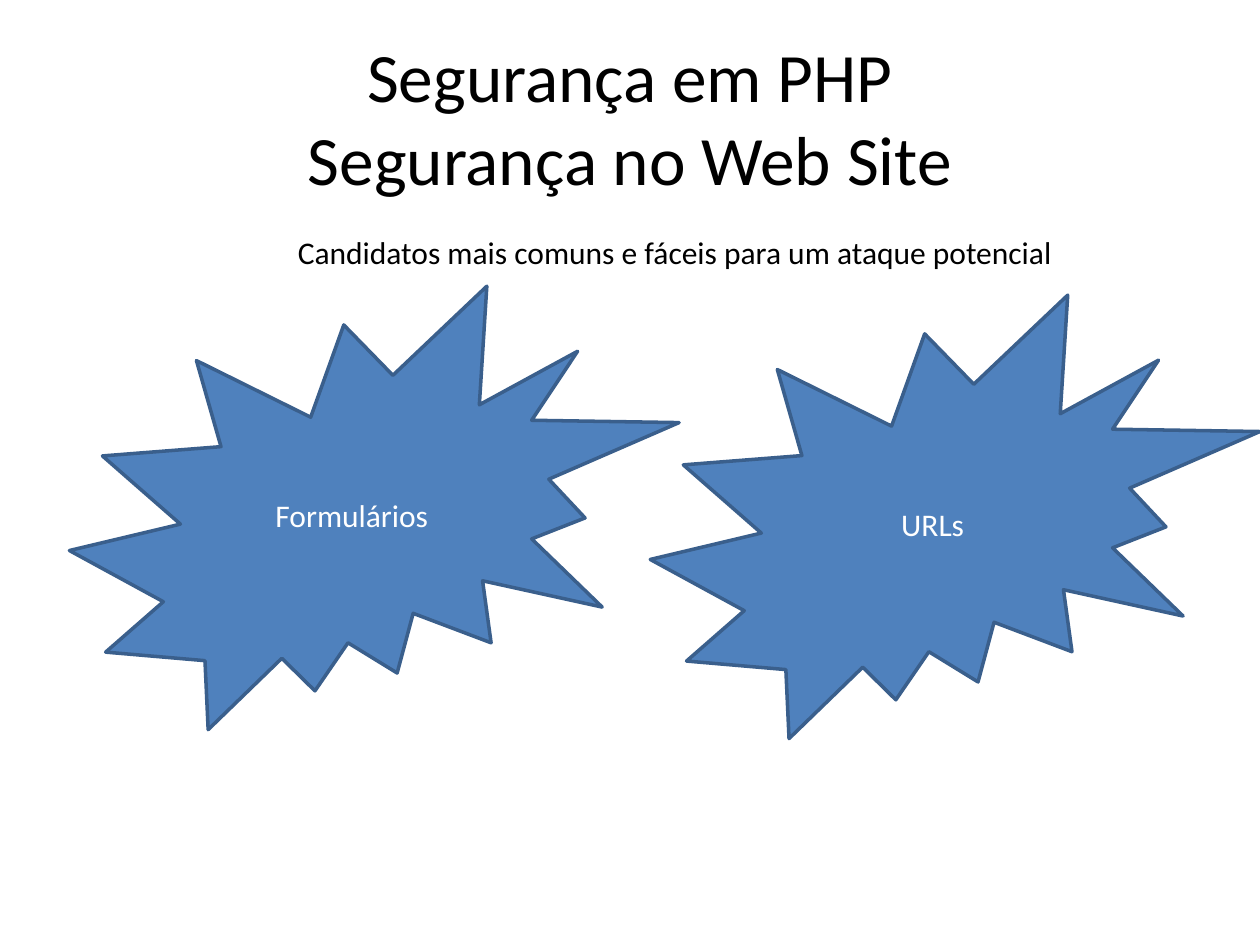
from pptx import Presentation
from pptx.dml.color import RGBColor
from pptx.enum.shapes import MSO_SHAPE as Shape
from pptx.enum.text import MSO_ANCHOR as Anchor, PP_ALIGN as Align
from pptx.util import Cm, Pt

BLACK = RGBColor(0x00, 0x00, 0x00)
WHITE = RGBColor(0xFF, 0xFF, 0xFF)
BLUE = RGBColor(0x4F, 0x81, 0xBD)
DARK_BLUE = RGBColor(0x3A, 0x5F, 0x8C)


def write(holder, text, size=18, color=BLACK, anchor=Anchor.MIDDLE):
    """Put one centred paragraph in a shape; a newline becomes a line break."""
    frame = holder.text_frame
    frame.word_wrap = True
    frame.vertical_anchor = anchor
    paragraph = frame.paragraphs[0]
    paragraph.text = text
    paragraph.alignment = Align.CENTER
    for run in paragraph.runs:
        run.font.name = "Calibri"
        run.font.size = Pt(size)
        run.font.color.rgb = color


prs = Presentation()
prs.slide_width, prs.slide_height = Cm(25.4), Cm(19.05)
slide = prs.slides.add_slide(prs.slide_layouts[6])

title = slide.shapes.add_textbox(Cm(1.27), Cm(0.76), Cm(22.86), Cm(3.18))
write(title, "Segurança em PHP\nSegurança no Web Site", size=39.6)

targets = [("Formulários", 1.4, 5.77), ("URLs", 13.11, 5.95)]
for target, left, top in targets:
    burst = slide.shapes.add_shape(
        Shape.EXPLOSION2, Cm(left), Cm(top), Cm(12.29), Cm(8.94))
    burst.shadow.inherit = False
    burst.fill.solid()
    burst.fill.fore_color.rgb = BLUE
    burst.line.color.rgb = DARK_BLUE
    burst.line.width = Pt(2)
    write(burst, target, color=WHITE)

subtitle = slide.shapes.add_textbox(Cm(2.39), Cm(4.57), Cm(22.43), Cm(1.02))
write(subtitle, "Candidatos mais comuns e fáceis para um ataque potencial",
      anchor=Anchor.TOP)

prs.save("out.pptx")
